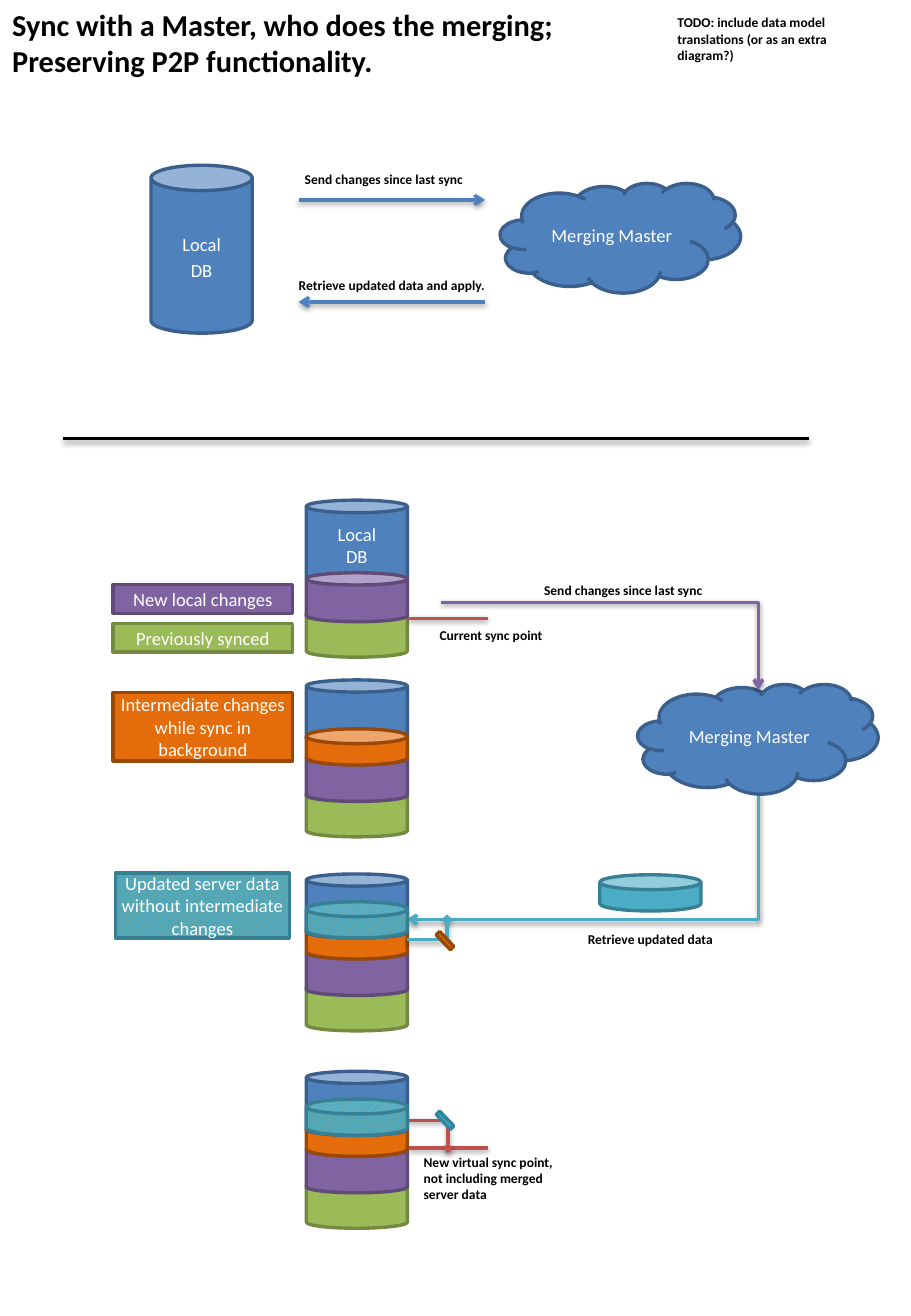
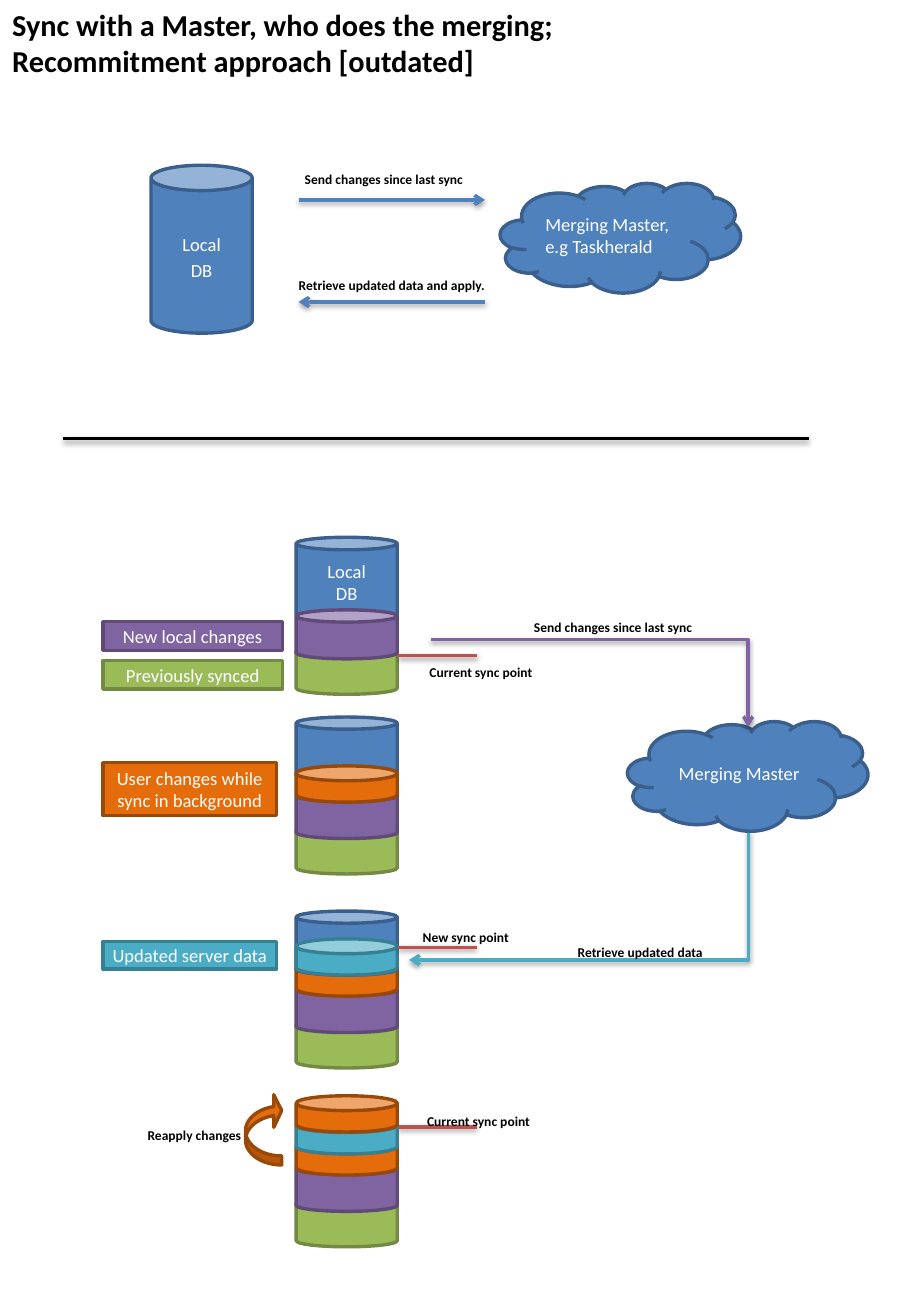
from dataclasses import dataclass
from typing import NamedTuple, Optional

from lxml import etree
from pptx import Presentation
from pptx import util as u
from pptx.dml.color import RGBColor
from pptx.enum import dml, shapes, text
from pptx.oxml.ns import qn

SHAPE = shapes.MSO_SHAPE
CENTER = text.PP_ALIGN.CENTER
LEFT = text.PP_ALIGN.LEFT
TOP = text.MSO_ANCHOR.TOP
MIDDLE = text.MSO_ANCHOR.MIDDLE


class Paint(NamedTuple):
    fill: str
    line: str
    hatch: Optional[str] = None


@dataclass(frozen=True)
class Theme:
    font: str = "Calibri"
    title_size: float = 18
    shape_size: float = 11
    label_size: float = 8
    line_width: float = 2
    black: str = "000000"
    white: str = "FFFFFF"
    red: str = "C0504D"
    blue: Paint = Paint("4F81BD", "3A5F8C")
    green: Paint = Paint("9BBB59", "738A42")
    purple: Paint = Paint("8064A2", "5F4A78")
    orange: Paint = Paint("E46C0A", "984807")
    teal: Paint = Paint("4BACC6", "377F92")
    teal_mark: Paint = Paint("4BACC6", "31859C")
    hatched: Paint = Paint("4BACC6", "377F92", "948A54")


THEME = Theme()


class Box(NamedTuple):
    left: float
    top: float
    width: float
    height: float

    def moved(self, dx: float, dy: float) -> "Box":
        return Box(self.left + dx, self.top + dy, self.width, self.height)

    def lengths(self) -> list:
        return [u.Pt(value) for value in self]


class Point(NamedTuple):
    x: float
    y: float

    def moved(self, dx: float, dy: float) -> "Point":
        return Point(self.x + dx, self.y + dy)


class Layer(NamedTuple):
    paint: Paint
    offset: float
    height: float
    cap: float
    caption: str = ""


class Label(NamedTuple):
    caption: str
    box: Box
    spaced: bool = False
    align: text.PP_ALIGN = LEFT
    anchor: text.MSO_ANCHOR = TOP


class Legend(NamedTuple):
    caption: str
    paint: Paint
    box: Box


STACK_LEFT, STACK_WIDTH = 181.5, 60
CLOUD_WIDTH, CLOUD_HEIGHT = 142.5, 65
SHIFT = (-6, 22)

GREEN = Layer(THEME.green, 64, 29, 0.25)
PURPLE = Layer(THEME.purple, 43, 29, 0.25)
ORANGE = Layer(THEME.orange, 29, 21.5, 0.41)
BLUE = Layer(THEME.blue, 0, 38, 0.19)
BLUE_NAMED = Layer(THEME.blue, 0, 49.5, 0.15, "Local\vDB")
TEAL = Layer(THEME.teal, 16.5, 21.5, 0.41)
HATCHED = TEAL._replace(paint=THEME.hatched)
REAPPLIED = ORANGE._replace(offset=3.5)


def write(frame, content: str, *, size: float, color: str, bold: bool = False,
          align=LEFT, anchor=TOP, spaced: bool = False,
          inset: Optional[float] = None) -> None:
    frame.word_wrap = True
    frame.auto_size = text.MSO_AUTO_SIZE.NONE
    frame.vertical_anchor = anchor
    if inset is not None:
        frame.margin_left = frame.margin_right = u.Pt(inset)
        frame.margin_top = frame.margin_bottom = u.Pt(inset)
    frame.text = content
    for paragraph in frame.paragraphs:
        paragraph.alignment = align
        if spaced:
            paragraph.line_spacing = 1.15
            paragraph.space_after = u.Pt(10)
        for run in paragraph.runs:
            run.font.name = THEME.font
            run.font.size = u.Pt(size)
            run.font.bold = bold
            run.font.color.rgb = RGBColor.from_string(color)


def add_shape(slide, kind, box: Box, paint: Paint, caption: str = "",
              adjustments: tuple = (), rotation: float = 0, **text_format):
    shape = slide.shapes.add_shape(kind, *box.lengths())
    shape.shadow.inherit = False
    shape.rotation = rotation
    for index, value in enumerate(adjustments):
        shape.adjustments[index] = value
    if paint.hatch:
        shape.fill.patterned()
        shape.fill.pattern = dml.MSO_PATTERN.LIGHT_UPWARD_DIAGONAL
        shape.fill.fore_color.rgb = RGBColor.from_string(paint.hatch)
        shape.fill.back_color.rgb = RGBColor.from_string(paint.fill)
    else:
        shape.fill.solid()
        shape.fill.fore_color.rgb = RGBColor.from_string(paint.fill)
    shape.line.color.rgb = RGBColor.from_string(paint.line)
    shape.line.width = u.Pt(THEME.line_width)
    if caption:
        options = dict(align=CENTER, anchor=MIDDLE) | text_format
        write(shape.text_frame, caption, size=THEME.shape_size,
              color=THEME.white, **options)
    return shape


def add_cloud(slide, left: float, top: float, caption: str, align=CENTER) -> None:
    box = Box(left, top, CLOUD_WIDTH, CLOUD_HEIGHT)
    add_shape(slide, SHAPE.CLOUD, box, THEME.blue, caption, align=align)


def add_label(slide, label: Label) -> None:
    box = slide.shapes.add_textbox(*label.box.lengths())
    write(box.text_frame, label.caption, size=THEME.label_size, color=THEME.black,
          bold=True, align=label.align, anchor=label.anchor, spaced=label.spaced)


def add_legend(slide, legend: Legend) -> None:
    add_shape(slide, SHAPE.RECTANGLE, legend.box, legend.paint, legend.caption, inset=0)


def add_stack(slide, left: float, top: float, layers: tuple) -> None:
    for layer in layers:
        box = Box(left, top + layer.offset, STACK_WIDTH, layer.height)
        add_shape(slide, SHAPE.CAN, box, layer.paint, layer.caption, (layer.cap,))


def add_line(slide, begin: Point, end: Point, color: str, head: str = "",
             kind=shapes.MSO_CONNECTOR.STRAIGHT):
    connector = slide.shapes.add_connector(
        kind, *[u.Pt(value) for value in (*begin, *end)])
    connector.line.color.rgb = RGBColor.from_string(color)
    connector.line.width = u.Pt(THEME.line_width)
    properties = connector._element.spPr
    if head:
        etree.SubElement(properties.find(qn("a:ln")), qn("a:tailEnd"), type=head)
    effects = etree.SubElement(properties, qn("a:effectLst"))
    shadow = etree.SubElement(effects, qn("a:outerShdw"), blurRad="40000",
                              dist="20000", dir="5400000", rotWithShape="0")
    shade = etree.SubElement(shadow, qn("a:srgbClr"), val=THEME.black)
    etree.SubElement(shade, qn("a:alpha"), val="38000")
    return connector


def add_elbow(slide, begin: Point, end: Point, color: str, head: str,
              down_then_left: bool = False) -> None:
    if down_then_left:
        middle = Point((begin.x + end.x) / 2, (begin.y + end.y) / 2)
        half_drop, half_run = (end.y - begin.y) / 2, (begin.x - end.x) / 2
        begin = middle.moved(-half_drop, -half_run)
        end = middle.moved(half_drop, half_run)
    connector = add_line(slide, begin, end, color, head, shapes.MSO_CONNECTOR.ELBOW)
    properties = connector._element.spPr
    properties.find(qn("a:prstGeom")).set("prst", "bentConnector2")
    if down_then_left:
        properties.find(qn("a:xfrm")).set("rot", "5400000")


def add_overview(presentation, title: str, master: str, master_align=CENTER):
    slide = presentation.slides.add_slide(presentation.slide_layouts[5])
    heading = slide.shapes.title
    heading.left, heading.top, heading.width, heading.height = Box(0, 0, 394.5, 51).lengths()
    write(heading.text_frame, title, size=THEME.title_size, color=THEME.black, bold=True)
    add_shape(slide, SHAPE.CAN, Box(89.5, 98, 60, 99.5), THEME.blue,
              "Local\vDB", spaced=True)
    add_cloud(slide, 296.5, 108.5, master, master_align)
    left, right = 177, 287.5
    add_line(slide, Point(left, 118.5), Point(right, 118.5), THEME.blue.fill, "arrow")
    add_line(slide, Point(right, 179), Point(left, 179), THEME.blue.fill, "arrow")
    add_label(slide, Label("Send changes since last sync", Box(173.5, 98, 110, 21)))
    add_label(slide, Label("Retrieve updated data and apply.",
                           Box(170, 158.5, 127.5, 21), anchor=MIDDLE))
    add_line(slide, Point(37.5, 260), Point(479.5, 260), THEME.black)
    return slide


def add_process(slide, shift: tuple, arrow_end: Point, retrieve_top: float,
                server_layer: Layer) -> None:
    add_elbow(slide, Point(449.5, 470).moved(*shift), arrow_end.moved(*shift),
              THEME.teal.fill, "arrow", down_then_left=True)
    add_cloud(slide, *Point(378, 405.5).moved(*shift), "Merging Master")
    for top, layers in (
        (296.5, (BLUE_NAMED, GREEN, PURPLE)),
        (403, (BLUE, GREEN, PURPLE, ORANGE)),
        (518, (GREEN, PURPLE, ORANGE, BLUE, server_layer)),
    ):
        add_stack(slide, *Point(STACK_LEFT, top).moved(*shift), layers)
    for legend in (
        Legend("New local changes", THEME.purple, Box(67, 346.5, 106.5, 17)),
        Legend("Previously synced", THEME.green, Box(67, 369.5, 106.5, 17)),
    ):
        add_legend(slide, legend._replace(box=legend.box.moved(*shift)))
    add_line(slide, Point(242, 366.5).moved(*shift), Point(289, 366.5).moved(*shift),
             THEME.red)
    add_elbow(slide, Point(261.5, 357).moved(*shift), Point(449.5, 409).moved(*shift),
              THEME.purple.fill, "arrow")
    for label in (
        Label("Send changes since last sync", Box(314.5, 340, 110, 21), True, CENTER),
        Label("Retrieve updated data", Box(330.5, retrieve_top, 110, 21), True, CENTER),
        Label("Current sync point", Box(253.5, 368, 80.5, 21.5)),
    ):
        add_label(slide, label._replace(box=label.box.moved(*shift)))


def build_peer_slide(presentation) -> None:
    slide = add_overview(
        presentation,
        "Sync with a Master, who does the merging; Preserving P2P functionality.",
        "Merging Master")
    add_label(slide, Label("TODO: include data model translations (or as an extra diagram?)",
                           Box(394.5, 5, 110, 21)))
    add_process(slide, (0, 0), Point(241, 545), 547, HATCHED)
    add_legend(slide, Legend("Intermediate changes while sync in background",
                             THEME.orange, Box(67, 410.5, 106.5, 40.5)))
    add_legend(slide, Legend("Updated server data\nwithout intermediate changes",
                             THEME.hatched, Box(68.5, 517.5, 103, 38.5)))
    add_stack(slide, 355.5, 518.5 - TEAL.offset, (TEAL,))
    add_line(slide, Point(242, 680.5), Point(289.5, 680.5), THEME.red)
    add_elbow(slide, Point(241, 557), Point(265, 545), THEME.teal.fill, "diamond")
    add_elbow(slide, Point(240.5, 664), Point(265.5, 680.5), THEME.red, "diamond")
    for top, paint in ((551.5, THEME.orange), (658, THEME.teal_mark)):
        add_shape(slide, SHAPE.MATH_MINUS, Box(255.5, top, 16.5, 12), paint, rotation=46.5)
    add_stack(slide, STACK_LEFT, 635, (GREEN, PURPLE, ORANGE, BLUE, HATCHED))
    add_label(slide, Label("New virtual sync point, not including merged server data",
                           Box(244, 680.5, 101.5, 38)))


def build_recommitment_slide(presentation) -> None:
    slide = add_overview(
        presentation,
        "Sync with a Master, who does the merging; Recommitment approach [outdated]",
        "Merging Master, e.g Taskherald", LEFT)
    add_process(slide, SHIFT, Point(248.5, 547), 532.5, TEAL)
    add_legend(slide, Legend("User changes while sync in background",
                             THEME.orange, Box(61, 452, 103, 31.5)))
    add_legend(slide, Legend("Updated server data", THEME.teal, Box(61, 558, 103, 16.5)))
    for y in (561.5, 668):
        add_line(slide, Point(236, y), Point(282.5, y), THEME.red)
    add_stack(slide, STACK_LEFT + SHIFT[0], 646, (GREEN, PURPLE, ORANGE, TEAL, REAPPLIED))
    add_shape(slide, SHAPE.CURVED_LEFT_ARROW, Box(145.5, 648.5, 21.5, 42), THEME.orange,
              adjustments=(0.25, 0.9, 0.22), rotation=180)
    for label in (
        Label("New sync point", Box(243.5, 547, 80.5, 21.5)),
        Label("Current sync point", Box(243.5, 654.5, 80.5, 16), True, CENTER),
        Label("Reapply changes", Box(75, 663, 80.5, 21), True, CENTER),
    ):
        add_label(slide, label)


def main() -> None:
    presentation = Presentation()
    presentation.slide_width, presentation.slide_height = u.Pt(540), u.Pt(780)
    build_peer_slide(presentation)
    build_recommitment_slide(presentation)
    presentation.save("out.pptx")


if __name__ == "__main__":
    main()
